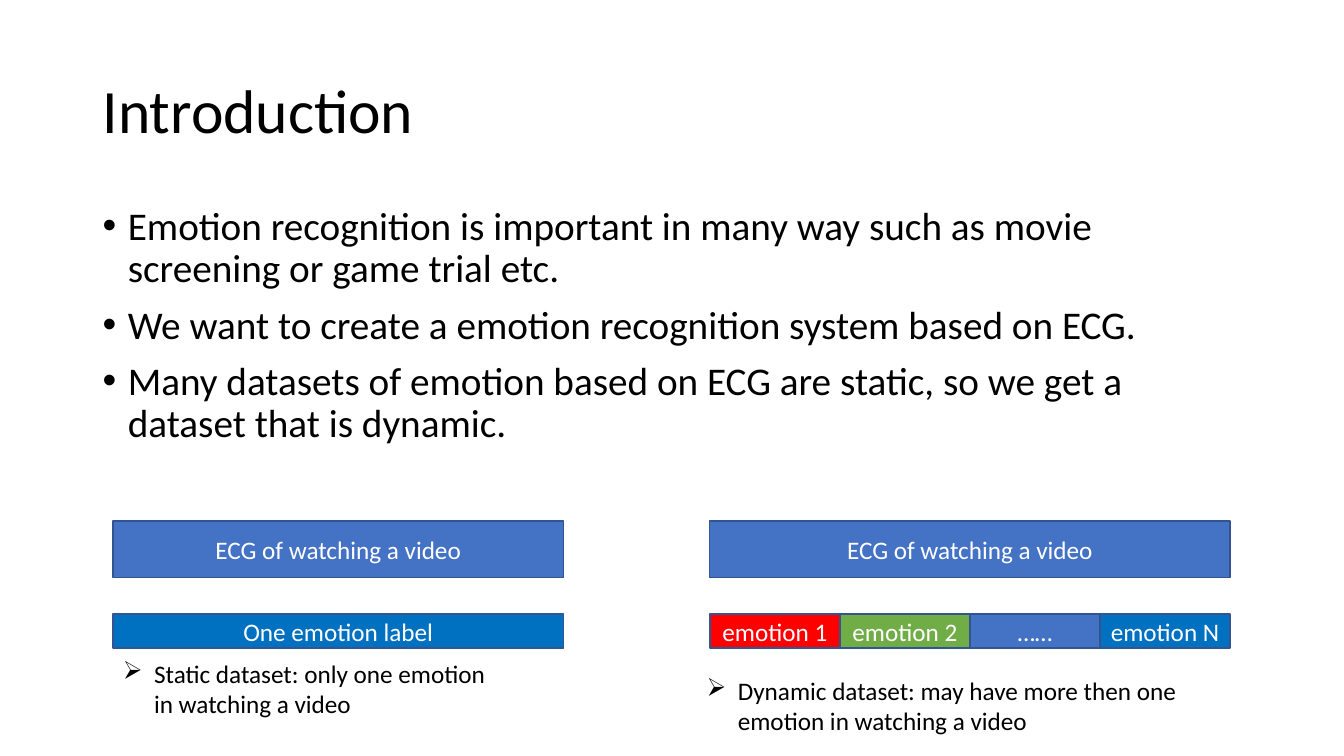
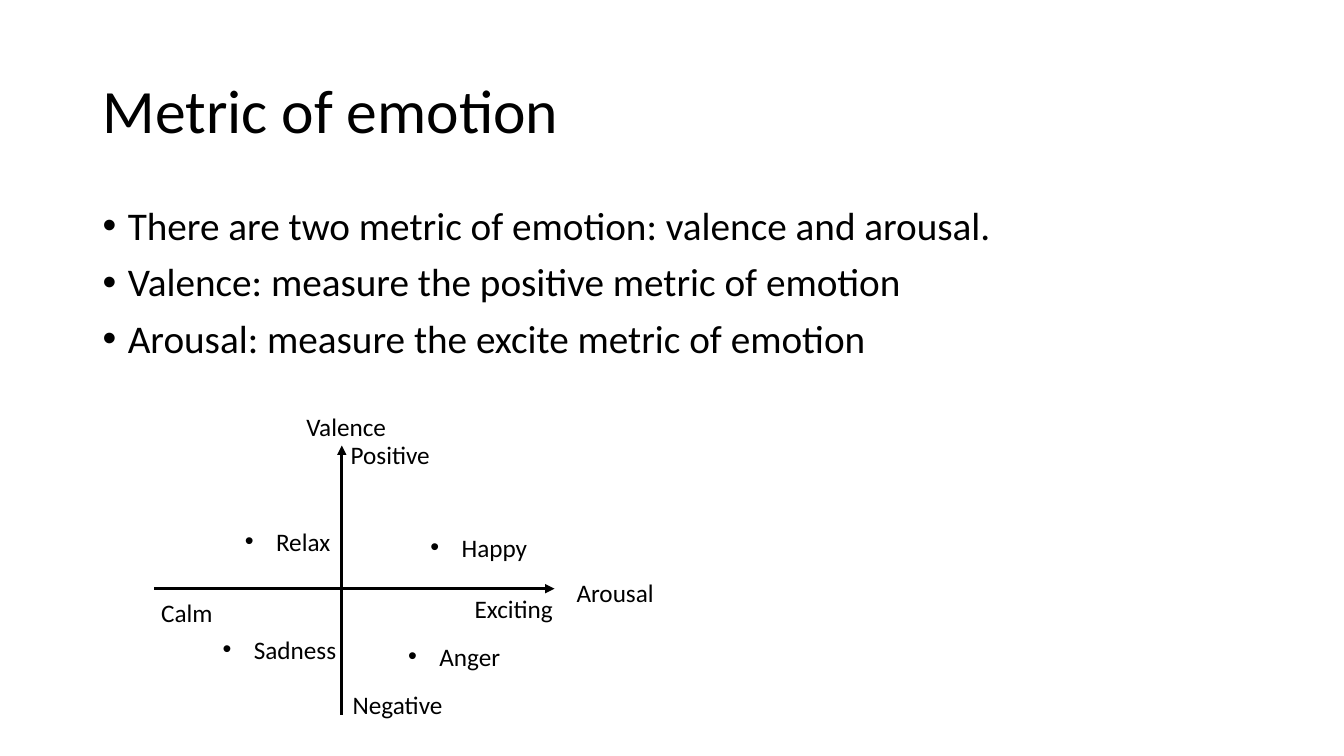
from lxml import etree
from pptx import Presentation
from pptx.dml.color import RGBColor
from pptx.enum.shapes import MSO_CONNECTOR, MSO_SHAPE
from pptx.enum.text import MSO_ANCHOR, PP_ALIGN
from pptx.oxml.ns import qn
from pptx.util import Inches, Pt

RECTANGLE = MSO_SHAPE.RECTANGLE
STRAIGHT = MSO_CONNECTOR.STRAIGHT
MIDDLE, TOP = MSO_ANCHOR.MIDDLE, MSO_ANCHOR.TOP
LEFT, CENTER = PP_ALIGN.LEFT, PP_ALIGN.CENTER

FONT = "Calibri"
COLORS = {
    "black": "000000", "white": "FFFFFF", "outline": "325491",
    "blue": "4472C4", "deep blue": "0070C0", "red": "FF0000", "green": "70AD47",
}
TITLE_SIZE, BODY_SIZE, LABEL_SIZE = 44, 28, 18
MARGIN, CONTENT_WIDTH = 0.92, 11.5
BODY_INDENT, LABEL_INDENT = 0.25, 0.31

INTRODUCTION = [
    "Emotion recognition is important in many way such as movie screening or game trial etc.",
    "We want to create a emotion recognition system based on ECG.",
    "Many datasets of emotion based on ECG are static, so we get a dataset that is dynamic.",
]
SIGNAL_LABEL = "ECG of watching a video"
SIGNAL_TOP, SIGNAL_HEIGHT = 5.17, 0.56
EMOTION_TOP, EMOTION_HEIGHT = 6.09, 0.34
DATASETS = [
    {"left": 1.12, "width": 4.47,
     "emotions": [("One emotion label", "deep blue")],
     "note": "Static dataset: only one emotion in watching a video",
     "note_area": (1.12, 6.48, 3.91, 0.71)},
    {"left": 7.04, "width": 5.16,
     "emotions": [("emotion 1", "red"), ("emotion 2", "green"),
                  ("……", "blue"), ("emotion N", "deep blue")],
     "note": "Dynamic dataset: may have more then one emotion in watching a video",
     "note_area": (6.91, 6.65, 4.91, 0.71)},
]

METRICS = [
    "There are two metric of emotion: valence and arousal.",
    "Valence: measure the positive metric of emotion",
    "Arousal: measure the excite metric of emotion",
]
AXES = [((1.53, 5.84), (5.5, 5.84)), ((3.39, 7.09), (3.39, 4.42))]
AXIS_LABELS = [
    ("Negative", 3.4, 6.79), ("Arousal", 5.62, 5.68), ("Positive", 3.38, 4.31),
    ("Valence", 2.94, 4.03), ("Exciting", 4.61, 5.84), ("Calm", 1.5, 5.88),
]
EMOTION_POINTS = [
    ("Anger", 3.95, 6.31), ("Happy", 4.17, 5.23),
    ("Relax", 2.33, 5.17), ("Sadness", 2.11, 6.24),
]
LABEL_WIDTH, LABEL_HEIGHT = 1.67, 0.4


def color(name):
    return RGBColor.from_string(COLORS[name])


def add_bullet(para, mark, indent):
    properties = para._p.get_or_add_pPr()
    properties.set("marL", str(Inches(indent)))
    properties.set("indent", str(-Inches(indent)))
    if mark == "•":
        etree.SubElement(properties, qn("a:buFont")).set("typeface", "Arial")
    etree.SubElement(properties, qn("a:buChar")).set("char", mark)


def write(shape, lines, size, ink="black", anchor=TOP, align=LEFT,
          mark=None, indent=LABEL_INDENT, spacing=None, gap=0):
    frame = shape.text_frame
    frame.word_wrap = True
    frame.vertical_anchor = anchor
    for index, line in enumerate(lines):
        para = frame.add_paragraph() if index else frame.paragraphs[0]
        if mark:
            add_bullet(para, mark, indent)
        para.alignment = align
        if spacing:
            para.line_spacing = spacing
        if index and gap:
            para.space_before = Pt(gap)
        span = para.add_run()
        span.text = line
        span.font.name = FONT
        span.font.size = Pt(size)
        span.font.color.rgb = color(ink)


def add_text(page, area, lines, size, **style):
    box = page.shapes.add_textbox(*map(Inches, area))
    write(box, lines, size, **style)


def add_bar(page, area, label, fill):
    bar = page.shapes.add_shape(RECTANGLE, *map(Inches, area))
    bar.shadow.inherit = False
    bar.fill.solid()
    bar.fill.fore_color.rgb = color(fill)
    bar.line.color.rgb = color("outline")
    bar.line.width = Pt(1)
    write(bar, [label], LABEL_SIZE, ink="white", anchor=MIDDLE, align=CENTER)


def add_axis(page, start, end):
    axis = page.shapes.add_connector(STRAIGHT, *map(Inches, start + end))
    axis.line.color.rgb = color("black")
    axis.line.width = Pt(2.25)
    etree.SubElement(axis.line._get_or_add_ln(), qn("a:tailEnd")).set("type", "triangle")
    etree.SubElement(axis._element.spPr, qn("a:effectLst"))


def add_page(deck, title, bullets, body_height):
    page = deck.slides.add_slide(deck.slide_layouts[6])
    add_text(page, (MARGIN, 0.4, CONTENT_WIDTH, 1.45), [title], TITLE_SIZE,
             anchor=MIDDLE, spacing=0.9)
    add_text(page, (MARGIN, 2, CONTENT_WIDTH, body_height), bullets, BODY_SIZE,
             mark="•", indent=BODY_INDENT, spacing=0.9, gap=10)
    return page


def add_dataset(page, dataset):
    left, width = dataset["left"], dataset["width"]
    add_bar(page, (left, SIGNAL_TOP, width, SIGNAL_HEIGHT), SIGNAL_LABEL, "blue")
    step = width / len(dataset["emotions"])
    for index, (label, fill) in enumerate(dataset["emotions"]):
        add_bar(page, (left + index * step, EMOTION_TOP, step, EMOTION_HEIGHT), label, fill)
    add_text(page, dataset["note_area"], [dataset["note"]], LABEL_SIZE, mark="➢")


def main():
    deck = Presentation()
    deck.slide_width, deck.slide_height = Inches(13.33), Inches(7.5)

    page = add_page(deck, "Introduction", INTRODUCTION, 2.5)
    for dataset in DATASETS:
        add_dataset(page, dataset)

    page = add_page(deck, "Metric of emotion", METRICS, 1.75)
    for start, end in AXES:
        add_axis(page, start, end)
    for labels, mark in ((AXIS_LABELS, None), (EMOTION_POINTS, "•")):
        for label, left, top in labels:
            add_text(page, (left, top, LABEL_WIDTH, LABEL_HEIGHT), [label],
                     LABEL_SIZE, mark=mark)

    deck.save("out.pptx")


if __name__ == "__main__":
    main()
